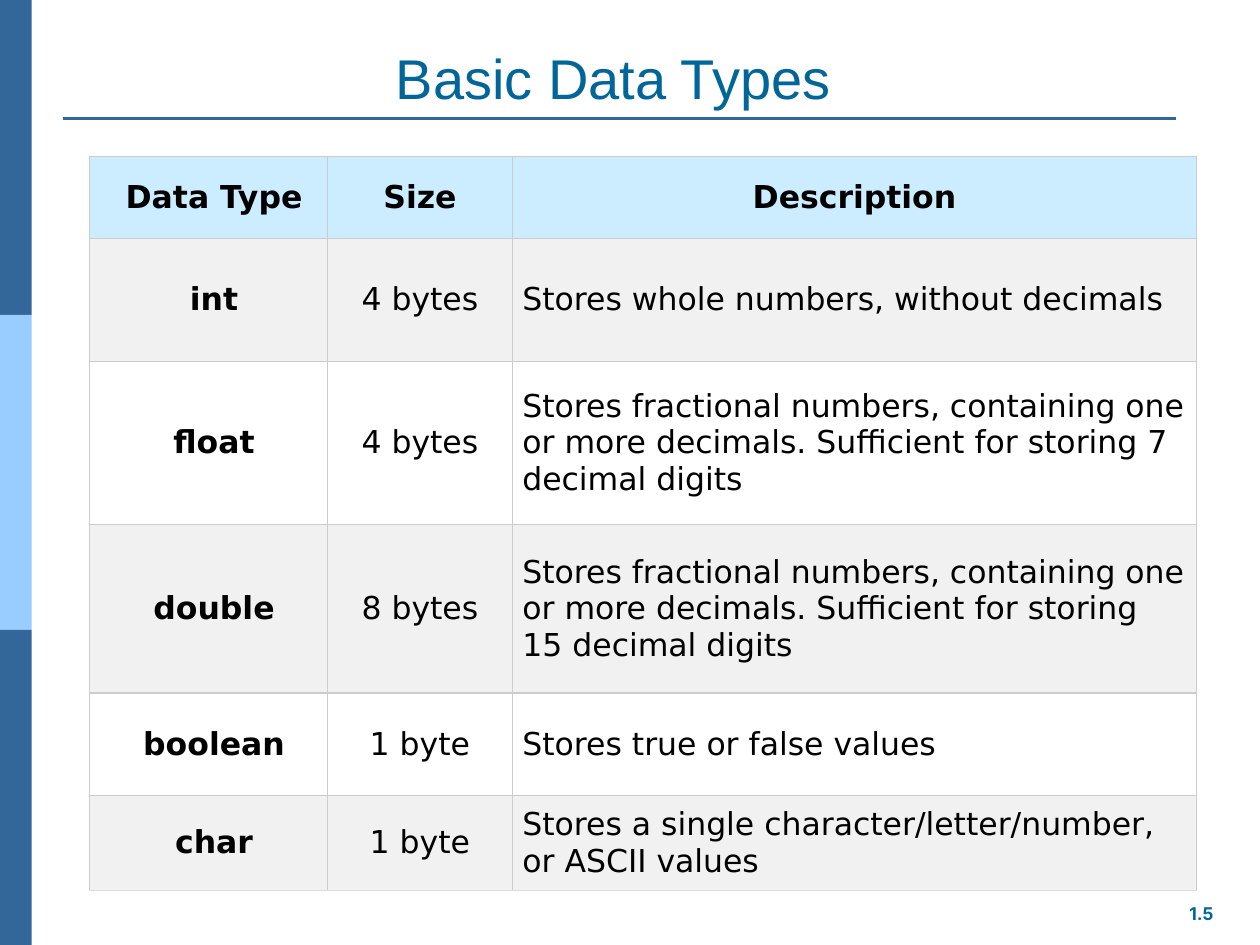
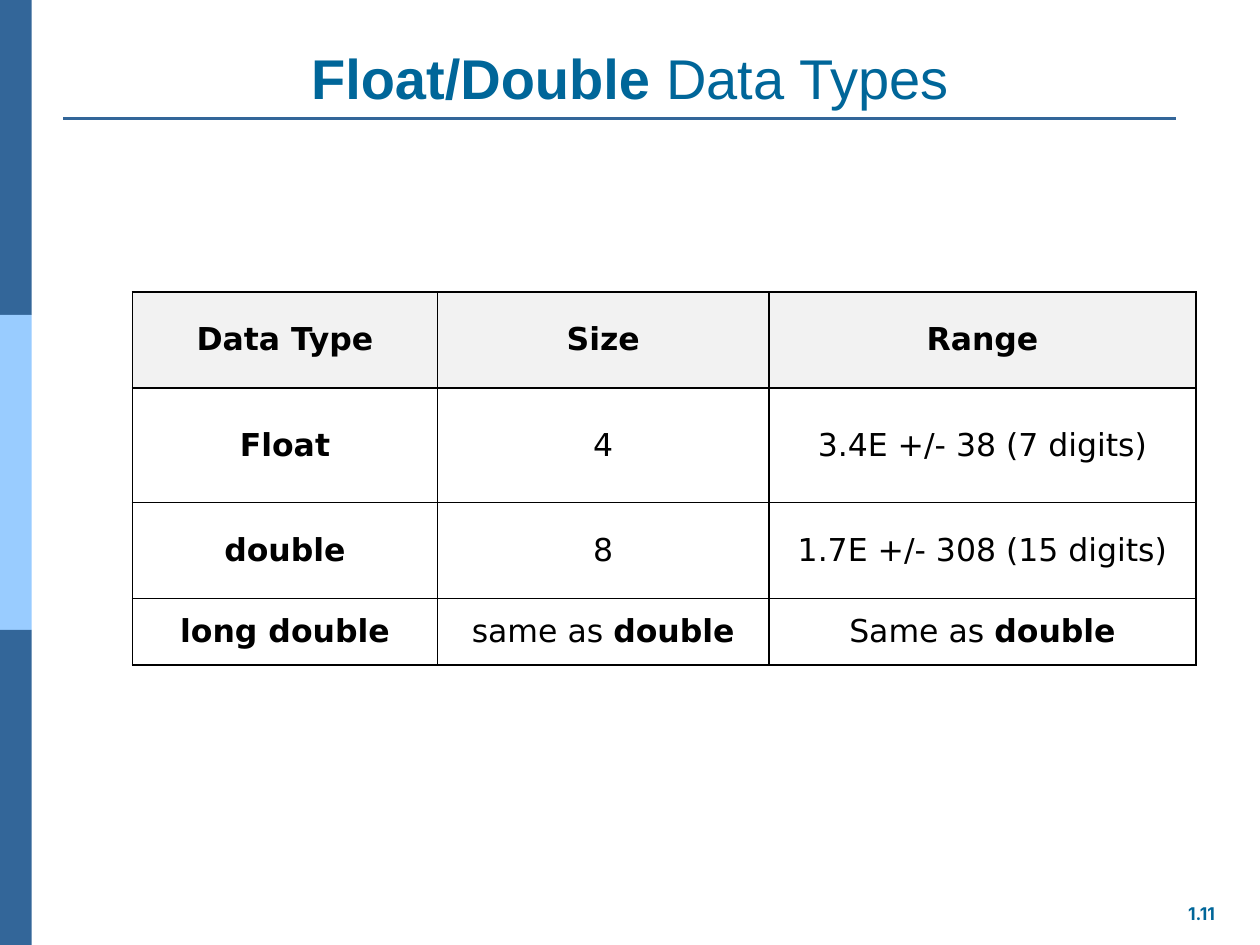
from lxml.etree import SubElement
from pptx import Presentation
from pptx.dml.color import RGBColor
from pptx.enum.shapes import MSO_CONNECTOR, MSO_SHAPE
from pptx.enum.text import MSO_ANCHOR, PP_ALIGN
from pptx.oxml.ns import qn
from pptx.util import Cm, Pt

SLIDE_W, SLIDE_H = 25.4, 19.05
BAND_W = 0.64
BLUE, LIGHT_BLUE, TITLE_BLUE = "336699", "99CCFF", "006699"
HEADER_BLUE, WHITE, BLACK = "CCECFF", "FFFFFF", "000000"
STRIPE, HEADER_GRAY = "F1F1F1", "F2F2F2"
TITLE_FONT, TABLE_FONT, NUMBER_FONT = "Arial", "DejaVu Sans", "Inter"

DATA_TYPES = [
    ("Data Type", "Size", "Description"),
    ("int", "4 bytes", "Stores whole numbers, without decimals"),
    ("float", "4 bytes", "Stores fractional numbers, containing one or more "
     "decimals. Sufficient for storing 7 decimal digits"),
    ("double", "8 bytes", "Stores fractional numbers, containing one or more "
     "decimals. Sufficient for storing 15 decimal digits"),
    ("boolean", "1 byte", "Stores true or false values"),
    ("char", "1 byte", "Stores a single character/letter/number, or ASCII values"),
]
FLOAT_TYPES = [
    ("Data Type", "Size", "Range"),
    ("Float", "4", "3.4E +/- 38 (7 digits)"),
    ("double", "8", "1.7E +/- 308 (15 digits)"),
    ("long double", "same as **double**", "Same as **double**"),
]


def rgb(value):
    return RGBColor.from_string(value)


def write(tf, text, font, size, color, bold=False, align=PP_ALIGN.CENTER):
    """Fill a text frame; parts between ** marks are bold."""
    p = tf.paragraphs[0]
    p.alignment = align
    for i, part in enumerate(text.split("**")):
        if part:
            r = p.add_run()
            r.text = part
            r.font.name, r.font.size = font, Pt(size)
            r.font.bold = bold or i % 2 == 1
            r.font.color.rgb = rgb(color)


def add_text(s, box, text, font, size, anchor, bold=False):
    tf = s.shapes.add_textbox(*map(Cm, box)).text_frame
    tf.word_wrap = True
    tf.vertical_anchor = anchor
    write(tf, text, font, size, TITLE_BLUE, bold)


def add_side_bands(s, box):
    left, top, width, height = box
    band_h = height / 3
    for i, color in enumerate((BLUE, LIGHT_BLUE, BLUE)):
        sp = s.shapes.add_shape(MSO_SHAPE.RECTANGLE, Cm(left), Cm(top + i * band_h),
                                Cm(width), Cm(band_h))
        sp.shadow.inherit = False
        sp.fill.solid()
        sp.fill.fore_color.rgb = rgb(color)
        sp.line.fill.background()


def add_title_rule(s, left, right, y):
    rule = s.shapes.add_connector(MSO_CONNECTOR.STRAIGHT, Cm(left), Cm(y), Cm(right), Cm(y))
    rule.line.color.rgb = rgb(BLUE)
    rule.line.width = Pt(1.5)
    SubElement(rule._element.spPr, qn("a:effectLst"))


def add_slide(prs, title, title_box, number):
    s = prs.slides.add_slide(prs.slide_layouts[6])
    add_side_bands(s, (0, 0, BAND_W, SLIDE_H))
    add_title_rule(s, 1.27, 23.7, 2.39)
    add_text(s, title_box, title, TITLE_FONT, 32, MSO_ANCHOR.BOTTOM)
    add_text(s, (23.7, 18.08, 1.04, 0.64), number, NUMBER_FONT, 10, MSO_ANCHOR.TOP, True)
    return s


def set_borders(cell, width, color, bottom):
    tcPr = cell._tc.get_or_add_tcPr()
    for side in "LRTB":
        ln = SubElement(tcPr, qn("a:ln" + side), w=str(Pt(width)))
        fill = SubElement(ln, qn("a:solidFill"))
        SubElement(fill, qn("a:srgbClr"), val=bottom if side == "B" else color)


def set_margins(cell, left, right, top, bottom):
    cell.margin_left, cell.margin_right = Cm(left), Cm(right)
    cell.margin_top, cell.margin_bottom = Cm(top), Cm(bottom)


def add_grid(s, left, top, col_widths, row_heights, rows, fills, border,
             margins, last_bottom, text_column=None):
    """Add a table with bold heads; margins(row, col) gives each cell's insets."""
    table = s.shapes.add_table(len(rows), len(col_widths), Cm(left), Cm(top),
                               Cm(sum(col_widths)), Cm(sum(row_heights))).table
    table.first_row = table.horz_banding = False
    for column, width in zip(table.columns, col_widths):
        column.width = Cm(width)
    for row, height in zip(table.rows, row_heights):
        row.height = Cm(height)
    width, color = border
    for i, texts in enumerate(rows):
        for j, text in enumerate(texts):
            cell = table.cell(i, j)
            set_borders(cell, width, color, last_bottom if i == len(rows) - 1 else color)
            cell.fill.solid()
            cell.fill.fore_color.rgb = rgb(fills[i])
            cell.vertical_anchor = MSO_ANCHOR.MIDDLE
            set_margins(cell, *margins(i, j))
            align = PP_ALIGN.LEFT if i and j == text_column else PP_ALIGN.CENTER
            write(cell.text_frame, text, TABLE_FONT, 18, BLACK, i == 0 or j == 0, align)


def basic_types_slide(prs):
    s = add_slide(prs, "Basic Data Types", (1.8, 0.76, 21.13, 1.6), "1.5")
    stripes = [STRIPE if i % 2 else WHITE for i in range(1, len(DATA_TYPES))]
    add_grid(s, 1.8, 3.15, (4.8, 3.73, 13.79), (1.65, 2.49, 3.28, 3.4, 2.06, 1.9),
             DATA_TYPES, [HEADER_BLUE] + stripes, (0.75, "CCCCCC"),
             lambda i, j: (0.2 if j else 0.43, 0.2, 0.2, 0.2), "DDDDDD", text_column=2)


def float_types_slide(prs):
    s = add_slide(prs, "**Float/Double **Data Types", (1.27, 0.76, 22.86, 1.6), "1.11")
    add_grid(s, 2.67, 5.89, (6.15, 6.68, 8.61), (1.93, 2.31, 1.93, 1.35),
             FLOAT_TYPES, [HEADER_GRAY] + [WHITE] * 3, (1, BLACK),
             lambda i, j: (0.25, 0.25, 0.13, 0.13) if i else (0.1,) * 4, BLACK)


def main():
    prs = Presentation()
    prs.slide_width, prs.slide_height = Cm(SLIDE_W), Cm(SLIDE_H)
    basic_types_slide(prs)
    float_types_slide(prs)
    prs.save("out.pptx")


if __name__ == "__main__":
    main()
